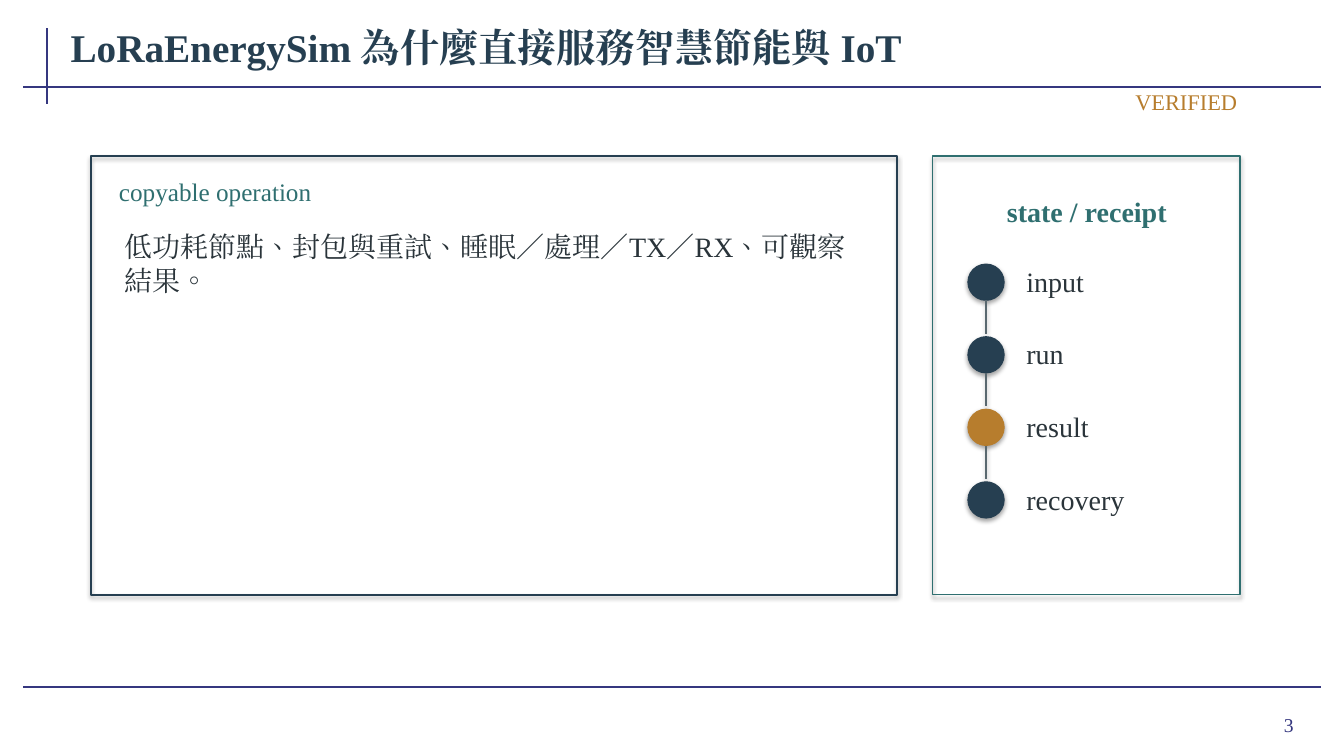
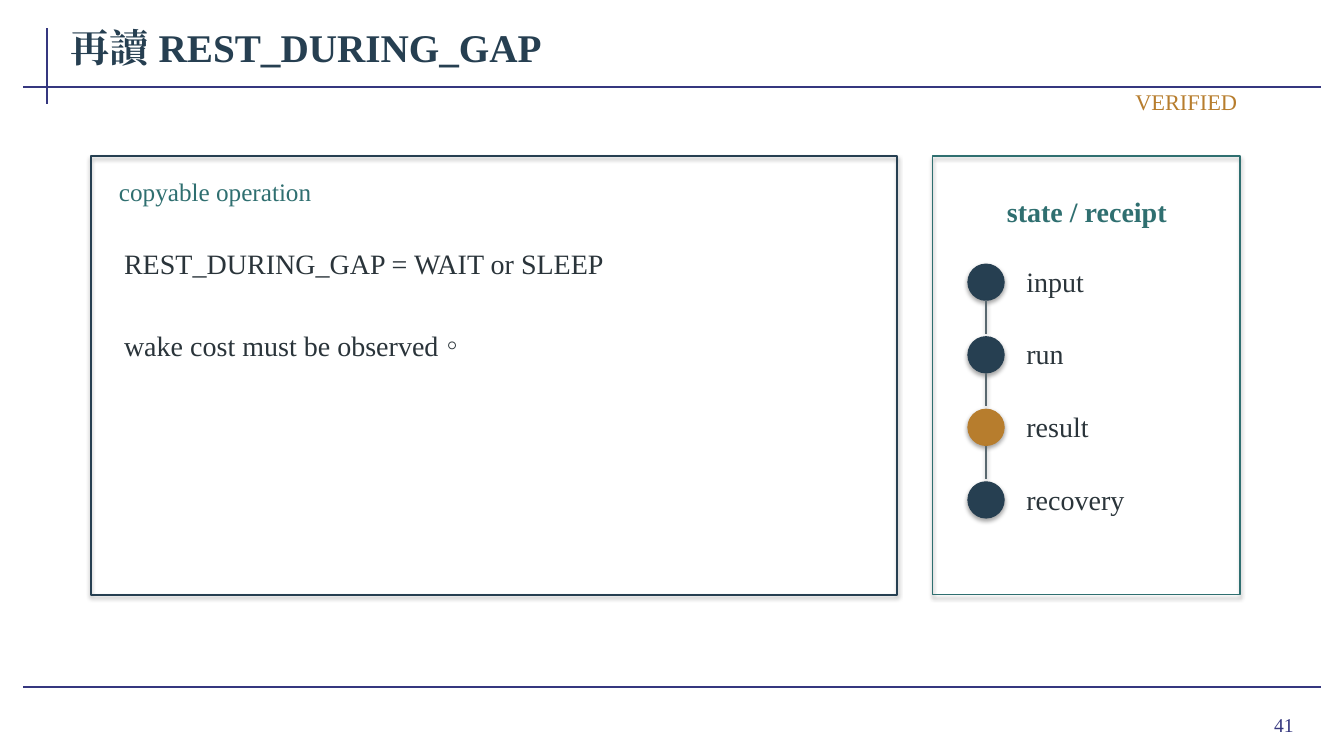
import pptx
import pptx.util
import pptx.dml.color
import pptx.enum.dml
import pptx.enum.lang
import pptx.enum.shapes
import pptx.enum.text
import pptx.oxml
import pptx.oxml.ns
from dataclasses import dataclass
from pptx.util import Inches

SLIDES = [
    {
        "title": "LoRaEnergySim 為什麼直接服務智慧節能與 IoT",
        "operations": ["低功耗節點、封包與重試、睡眠／處理／TX／RX、可觀察結果。"],
        "number": 3,
    },
    {
        "title": "再讀 REST_DURING_GAP",
        "operations": ["REST_DURING_GAP = WAIT or SLEEP", "wake cost must be observed。"],
        "number": 41,
    },
]
STATUS = "VERIFIED"
OPERATION_HEADING = "copyable operation"
RECEIPT_HEADING = "state / receipt"
STATES = ["input", "run", "result", "recovery"]
HIGHLIGHTED_STATE = "result"


@dataclass(frozen=True)
class Theme:
    font: str = "Times New Roman"
    navy: str = "263F51"
    teal: str = "2F6F70"
    amber: str = "B77D2D"
    ink: str = "2A343A"
    link: str = "59686F"
    rule: str = "35377F"
    title_size: int = 28
    body_size: int = 20
    heading_size: int = 18
    status_size: int = 16
    number_size: int = 14


THEME = Theme()
ALIGN = pptx.enum.text.PP_ALIGN
SHAPES = pptx.enum.shapes.MSO_SHAPE
FRAME_RULES = [(0.47, 0.28, 0.47, 1.03), (0.23, 0.86, 13.1, 0.86), (0.23, 6.82, 13.1, 6.82)]
PANEL_TOP, PANEL_HEIGHT = 1.55, 4.35
OPERATION_TOP, OPERATION_HEIGHT, OPERATION_GAP = 2.25, 0.72, 0.1
DOT_LEFT, DOT_TOP, DOT_SIZE, STATE_PITCH = 9.6, 2.62, 0.36, 0.72
LINK_LENGTH = 0.33


def rgb(value):
    return pptx.dml.color.RGBColor.from_string(value)


def add_text(slide, text, box, size=THEME.body_size, color=THEME.ink, bold=False,
             align=ALIGN.LEFT, inset=(0.08, 0.04), grow=True):
    label = slide.shapes.add_textbox(*map(Inches, box))
    frame = label.text_frame
    frame.word_wrap = True
    auto_size = pptx.enum.text.MSO_AUTO_SIZE
    frame.auto_size = auto_size.SHAPE_TO_FIT_TEXT if grow else auto_size.NONE
    frame.vertical_anchor = pptx.enum.text.MSO_ANCHOR.MIDDLE
    frame.margin_left = frame.margin_right = Inches(inset[0])
    frame.margin_top = frame.margin_bottom = Inches(inset[1])
    paragraph = frame.paragraphs[0]
    paragraph.alignment = align
    run = paragraph.add_run()
    run.text = text
    run.font.name = THEME.font
    run.font.size = pptx.util.Pt(size)
    run.font.bold = bold
    run.font.color.rgb = rgb(color)
    run.font.language_id = pptx.enum.lang.MSO_LANGUAGE_ID.TRADITIONAL_CHINESE
    east_asian = pptx.oxml.parse_xml(
        f'<a:ea {pptx.oxml.ns.nsdecls("a")} typeface="{THEME.font}"/>')
    run.font.element.append(east_asian) if hasattr(run.font, "element") else \
        run._r.get_or_add_rPr().append(east_asian)


def add_outline(slide, kind, box, color, weight, filled=False):
    shape = slide.shapes.add_shape(kind, *map(Inches, box))
    if filled:
        shape.fill.solid()
        shape.fill.fore_color.rgb = rgb(color)
    else:
        shape.fill.background()
    shape.line.color.rgb = rgb(color)
    shape.line.width = pptx.util.Pt(weight)


def add_line(slide, ends, color, weight, shadow=False):
    line = slide.shapes.add_connector(
        pptx.enum.shapes.MSO_CONNECTOR.STRAIGHT, *map(Inches, ends))
    line.line.color.rgb = rgb(color)
    line.line.width = pptx.util.Pt(weight)
    if not shadow:
        line._element.spPr.append(
            pptx.oxml.parse_xml(f'<a:effectLst {pptx.oxml.ns.nsdecls("a")}/>'))


def add_frame(slide, title, number):
    for ends in FRAME_RULES:
        add_line(slide, ends, THEME.rule, 1.5)
    add_text(slide, str(number), (11.96, 6.93, 0.97, 0.52), size=THEME.number_size,
             color=THEME.rule, align=ALIGN.RIGHT, inset=(0.1, 0.05), grow=False)
    add_text(slide, title, (0.62, 0.15, 12.49, 0.62), size=THEME.title_size,
             color=THEME.navy, bold=True, grow=False)
    add_text(slide, STATUS, (9.15, 0.86, 3.2, 0.3), size=THEME.status_size,
             color=THEME.amber, align=ALIGN.RIGHT)


def add_operations(slide, operations):
    add_outline(slide, SHAPES.RECTANGLE, (0.9, PANEL_TOP, 8, PANEL_HEIGHT), THEME.navy, 1.4)
    add_text(slide, OPERATION_HEADING, (1.1, 1.72, 7.6, 0.35),
             size=THEME.heading_size, color=THEME.teal)
    for index, operation in enumerate(operations):
        top = OPERATION_TOP + index * (OPERATION_HEIGHT + OPERATION_GAP)
        add_text(slide, operation, (1.15, top, 7.35, OPERATION_HEIGHT))


def add_receipt(slide):
    add_outline(slide, SHAPES.RECTANGLE, (9.25, PANEL_TOP, 3.05, PANEL_HEIGHT), THEME.teal, 1.1)
    add_text(slide, RECEIPT_HEADING, (9.48, 1.82, 2.6, 0.55),
             color=THEME.teal, bold=True, align=ALIGN.CENTER)
    center = DOT_LEFT + DOT_SIZE / 2
    for index, state in enumerate(STATES):
        top = DOT_TOP + index * STATE_PITCH
        color = THEME.amber if state == HIGHLIGHTED_STATE else THEME.navy
        add_outline(slide, SHAPES.OVAL, (DOT_LEFT, top, DOT_SIZE, DOT_SIZE),
                    color, 0.75, filled=True)
        add_text(slide, state, (10.1, top - 0.03, 1.85, 0.4))
        if index < len(STATES) - 1:
            bottom = top + DOT_SIZE
            add_line(slide, (center, bottom, center, bottom + LINK_LENGTH),
                     THEME.link, 0.9, shadow=True)


def main():
    deck = pptx.Presentation()
    deck.slide_width, deck.slide_height = Inches(13.33), Inches(7.5)
    for content in SLIDES:
        slide = deck.slides.add_slide(deck.slide_layouts[6])
        add_frame(slide, content["title"], content["number"])
        add_operations(slide, content["operations"])
        add_receipt(slide)
    deck.save("out.pptx")


if __name__ == "__main__":
    main()
